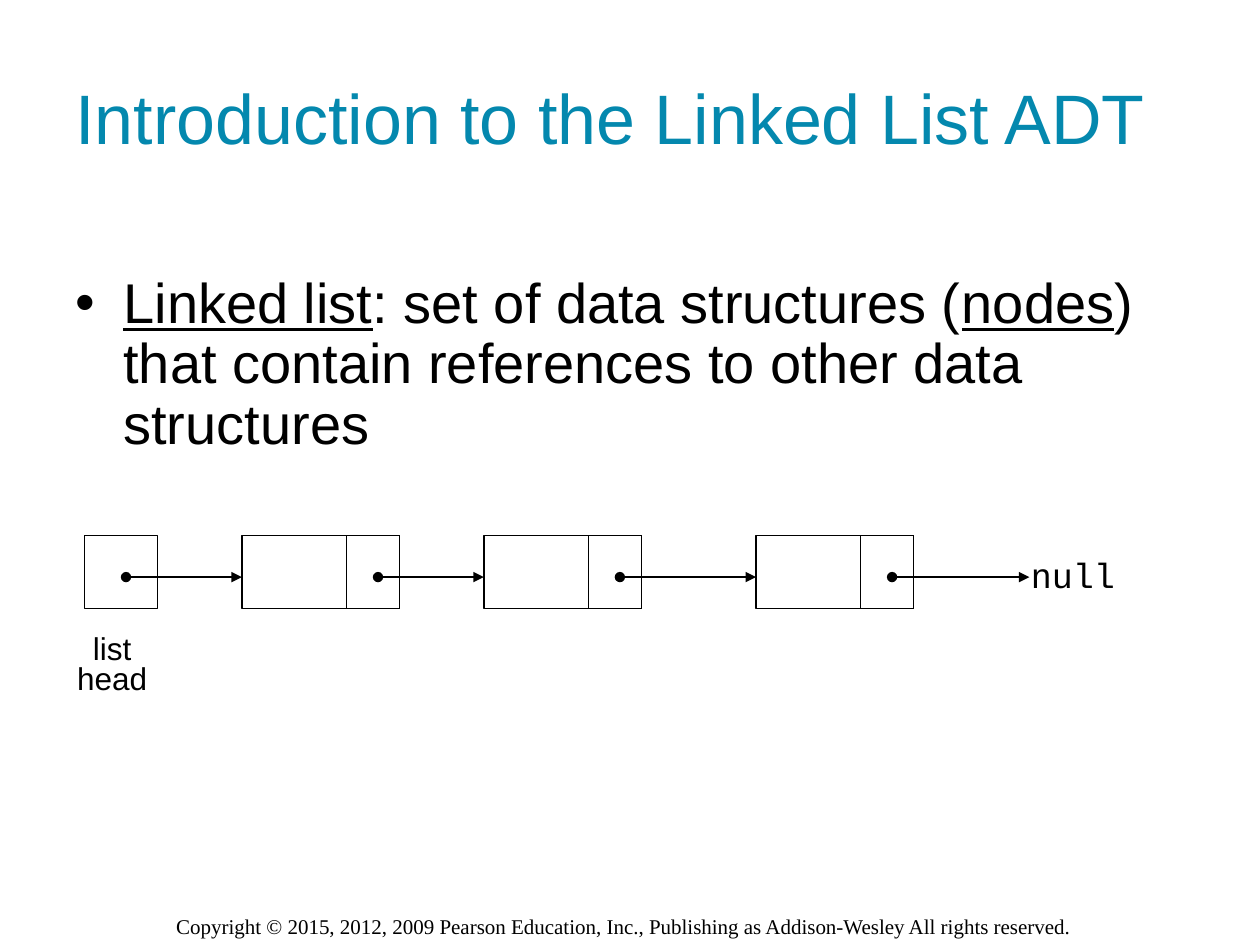
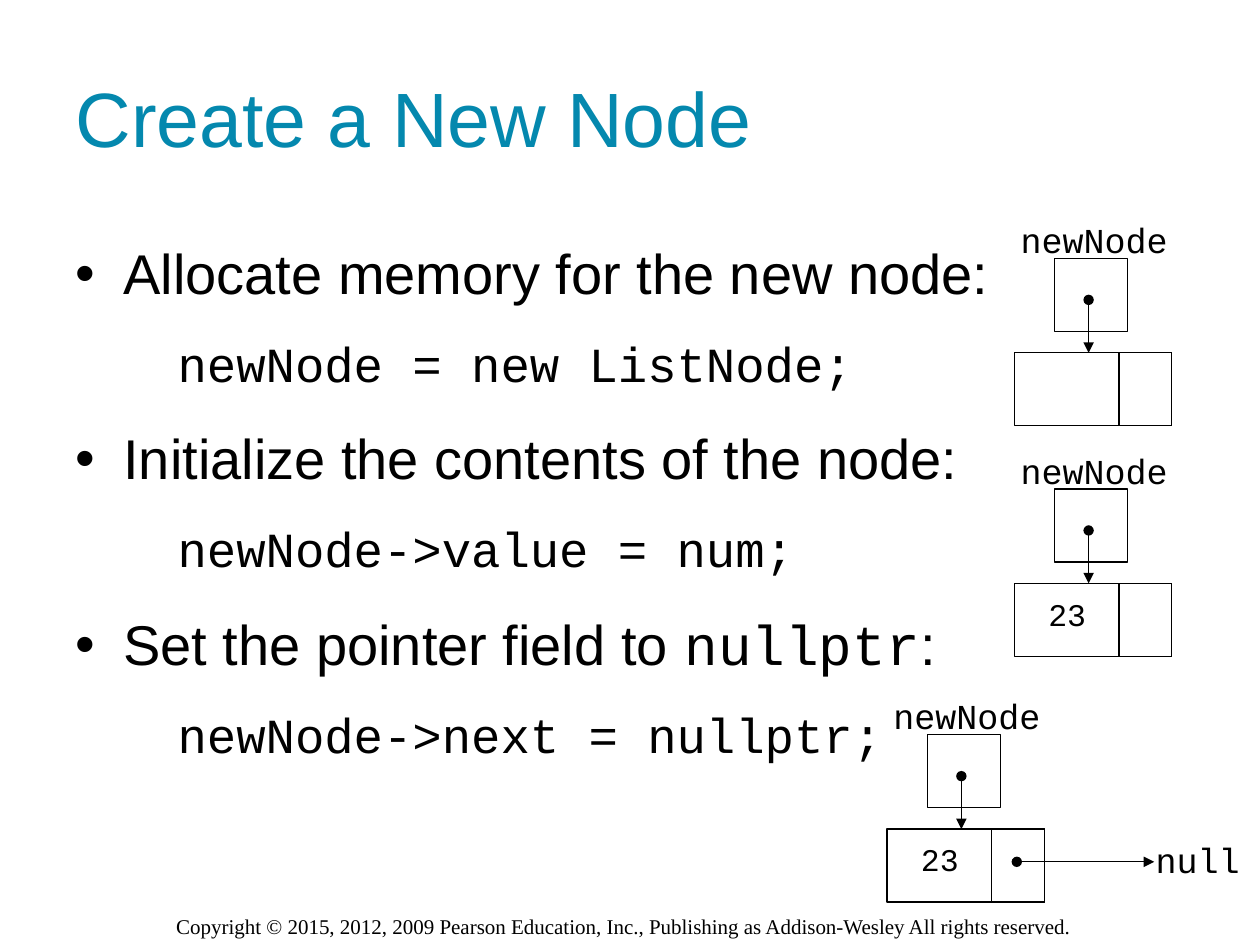
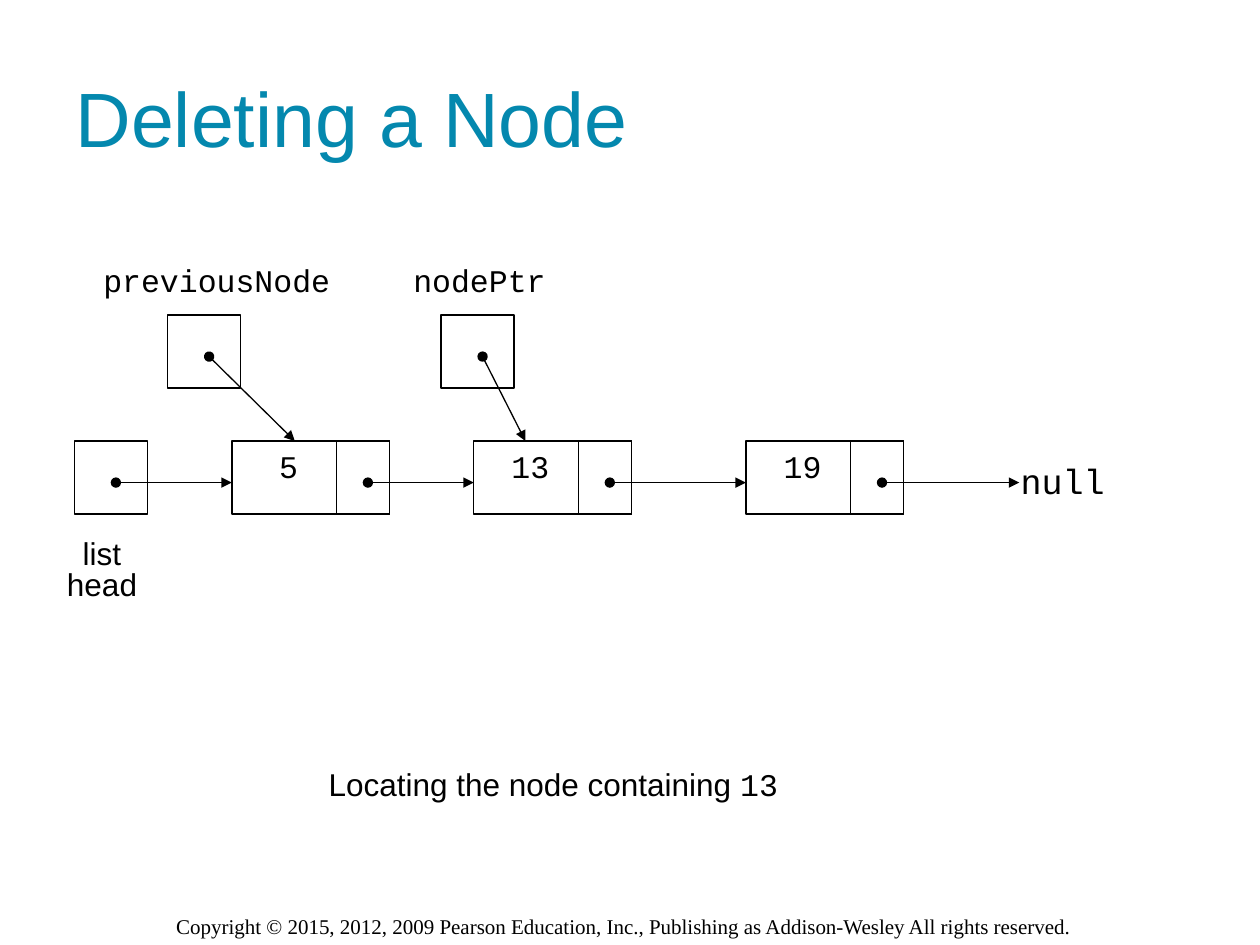
import lxml.etree
import pptx
import pptx.dml.color
import pptx.enum.shapes
import pptx.enum.text
import pptx.oxml.ns
import pptx.util

Inches = pptx.util.Inches
Pt = pptx.util.Pt
ALIGN = pptx.enum.text.PP_ALIGN
FIT = pptx.enum.text.MSO_AUTO_SIZE
COLORS = {"title": "0488AE", "ink": "000000"}
SANS, MONO, SERIF = "Arial", "Courier New", "Times New Roman"
CELL = 0.58
NODE_WIDTH = 1.25
LINK_OFFSET, LINK_WIDTH = 0.83, 0.42
DOT = 0.33
COPYRIGHT = ("Copyright © 2015, 2012, 2009 Pearson Education, Inc., "
             "Publishing as Addison-Wesley All rights reserved.")


def fill_paragraph(para, spans, size, color, align, spacing):
    """Write (text, font, underlined) spans into one paragraph."""
    para.alignment = align
    para.line_spacing = spacing
    for text, font, underlined in spans:
        span = para.add_run()
        span.text = text
        span.font.name = font
        span.font.size = Pt(size)
        span.font.underline = underlined
        span.font.color.rgb = pptx.dml.color.RGBColor.from_string(COLORS[color])


def add_label(page, lines, size, left, top, width, height, align=ALIGN.CENTER, spacing=1.0):
    """Add a text box that grows instead of wrapping; each line is a list of (text, font)."""
    box = page.shapes.add_textbox(Inches(left), Inches(top), Inches(width), Inches(height))
    box.text_frame.word_wrap = False
    box.text_frame.auto_size = FIT.SHAPE_TO_FIT_TEXT
    for number, line in enumerate(lines):
        para = box.text_frame.add_paragraph() if number else box.text_frame.paragraphs[0]
        spans = [(text, font, False) for text, font in line]
        fill_paragraph(para, spans, size, "ink", align, spacing)


deck = pptx.Presentation()
deck.slide_width, deck.slide_height = Inches(10), Inches(7.5)

# Slide titles with their size, and layout number
slides = [
    ("Introduction to the Linked List ADT", 40, 1),
    ("Create a New Node", 44, 1),
    ("Deleting a Node", 44, 5),
]
pages = []
for title, size, layout in slides:
    page = deck.slides.add_slide(deck.slide_layouts[layout])
    pages.append(page)
    heading = page.shapes.title
    heading.left, heading.top = Inches(0.5), Inches(0.3)
    heading.width, heading.height = Inches(9), Inches(1.25)
    heading.text_frame.auto_size = FIT.NONE
    heading.text_frame.vertical_anchor = pptx.enum.text.MSO_ANCHOR.MIDDLE
    fill_paragraph(heading.text_frame.paragraphs[0], [(title, SANS, False)],
                   size, "title", ALIGN.LEFT, 1.0)
    add_label(page, [[(COPYRIGHT, SERIF)]], 12, 1.3, 7.2, 7.42, 0.3, ALIGN.LEFT)
intro, create, delete = pages

# Body lists: level 0 is a bullet, level 1 is a code line
bodies = [
    (intro, 2.13, 8.75, 1.59, [
        (0, [("Linked list", SANS, True), (": set of data structures (", SANS, False),
             ("nodes", SANS, True),
             (") that contain references to other data structures", SANS, False)]),
    ]),
    (create, 1.9, 8.51, 4.28, [
        (0, [("Allocate memory for the new node:", SANS, False)]),
        (1, [("newNode = new ListNode;", MONO, False)]),
        (0, [("Initialize the contents of the node:", SANS, False)]),
        (1, [("newNode->value = num;", MONO, False)]),
        (0, [("Set the pointer field to ", SANS, False), ("nullptr", MONO, False),
             (":", SANS, False)]),
        (1, [("newNode->next = nullptr;", MONO, False)]),
    ]),
]
for page, top, width, height, items in bodies:
    body = page.placeholders[1]
    body.left, body.top = Inches(0.5), Inches(top)
    body.width, body.height = Inches(width), Inches(height)
    frame = body.text_frame
    frame.auto_size = FIT.NONE
    for number, (level, spans) in enumerate(items):
        para = frame.add_paragraph() if number else frame.paragraphs[0]
        para.level = level
        properties = para._p.get_or_add_pPr()
        properties.set("marL", str(Inches(0.81 if level else 0.38)))
        properties.set("indent", str(Inches(0 if level else -0.38)))
        if level:
            lxml.etree.SubElement(properties, pptx.oxml.ns.qn("a:buNone"))
        para.space_before = Pt((19.2 if level else 22) if number else 0)
        fill_paragraph(para, spans, 28 if level else 32, "ink", ALIGN.LEFT, 0.9)

# Diagram parts: boxes as (page, left, top, width), arrows as (page, x1, y1, x2, y2)
boxes, arrows = [], []

# Linked chains: list head, three nodes and null
for page, left, top, values in [(intro, 0.67, 4.25, []), (delete, 0.59, 3.5, ["5", "13", "19"])]:
    nodes = [left + 1.25, left + 3.17, left + 5.33]
    boxes.append((page, left, top, CELL))
    for node in nodes:
        boxes.append((page, node, top, NODE_WIDTH))
        boxes.append((page, node + LINK_OFFSET, top, LINK_WIDTH))
    starts = [left + DOT] + [node + 1.08 for node in nodes]
    for start, end in zip(starts, nodes + [left + 7.5]):
        arrows.append((page, start, top + DOT, end, top + DOT))
    for node, value in zip(nodes, values):
        add_label(page, [[(value, MONO)]], 18, node + 0.2, top, 0.5, 0.4)
    add_label(page, [[("null", MONO)]], 20, left + 7.41, top + 0.03, 0.87, 0.5, spacing=1.2)
    add_label(page, [[("list", SANS)], [("head", SANS)]], 18,
              left - 0.18, top + 0.75, 0.8, 0.58, spacing=0.8)

# Three steps of the new node
for left, top, value, linked in [(8.05, 2.05, "", False), (8.05, 3.88, "23", False),
                                 (7.04, 5.83, "23", True)]:
    node_top = top + 0.75
    boxes.append((create, left + 0.32, top, CELL))
    boxes.append((create, left, node_top, NODE_WIDTH))
    boxes.append((create, left + LINK_OFFSET, node_top, LINK_WIDTH))
    arrows.append((create, left + 0.59, top + DOT, left + 0.59, node_top))
    add_label(create, [[("newNode", MONO)]], 20, left - 0.05, top - 0.3, 1.37, 0.37, spacing=0.8)
    if value:
        add_label(create, [[(value, MONO)]], 18, left + 0.17, node_top + 0.04, 0.5, 0.4)
    if linked:
        arrows.append((create, left + 1.03, top + 1.01, left + 2.12, top + 1.01))
        add_label(create, [[("null", MONO)]], 20, left + 2.03, top + 0.71, 0.87, 0.5, spacing=1.2)

# Pointers used while deleting
for name, left, target, label_left, label_width in [("previousNode", 1.33, 2.34, 0.72, 2),
                                                    ("nodePtr", 3.5, 4.17, 3.18, 1.25)]:
    boxes.append((delete, left, 2.5, CELL))
    arrows.append((delete, left + DOT, 2.5 + DOT, target, 3.5))
    add_label(delete, [[(name, MONO)]], 18, label_left, 2.08, label_width, 0.34, spacing=0.8)
add_label(delete, [[("Locating the node containing ", SANS), ("13", MONO)]], 18,
          2.51, 6.02, 3.8, 0.4, ALIGN.LEFT)

# Draw the boxes and arrows
ink = pptx.dml.color.RGBColor.from_string(COLORS["ink"])
for page, left, top, width in boxes:
    box = page.shapes.add_shape(pptx.enum.shapes.MSO_SHAPE.RECTANGLE,
                                Inches(left), Inches(top), Inches(width), Inches(CELL))
    box.shadow.inherit = False
    box.fill.background()
    box.line.color.rgb = ink
    box.line.width = Pt(0.75)
for page, *ends in arrows:
    arrow = page.shapes.add_connector(pptx.enum.shapes.MSO_CONNECTOR.STRAIGHT,
                                      *[Inches(end) for end in ends])
    arrow.line.color.rgb = ink
    arrow.line.width = Pt(0.75)
    outline = arrow.line._get_or_add_ln()
    for tag, kind in [("a:headEnd", "oval"), ("a:tailEnd", "triangle")]:
        lxml.etree.SubElement(outline, pptx.oxml.ns.qn(tag), type=kind)
    lxml.etree.SubElement(arrow._element.spPr, pptx.oxml.ns.qn("a:effectLst"))

deck.save("out.pptx")
